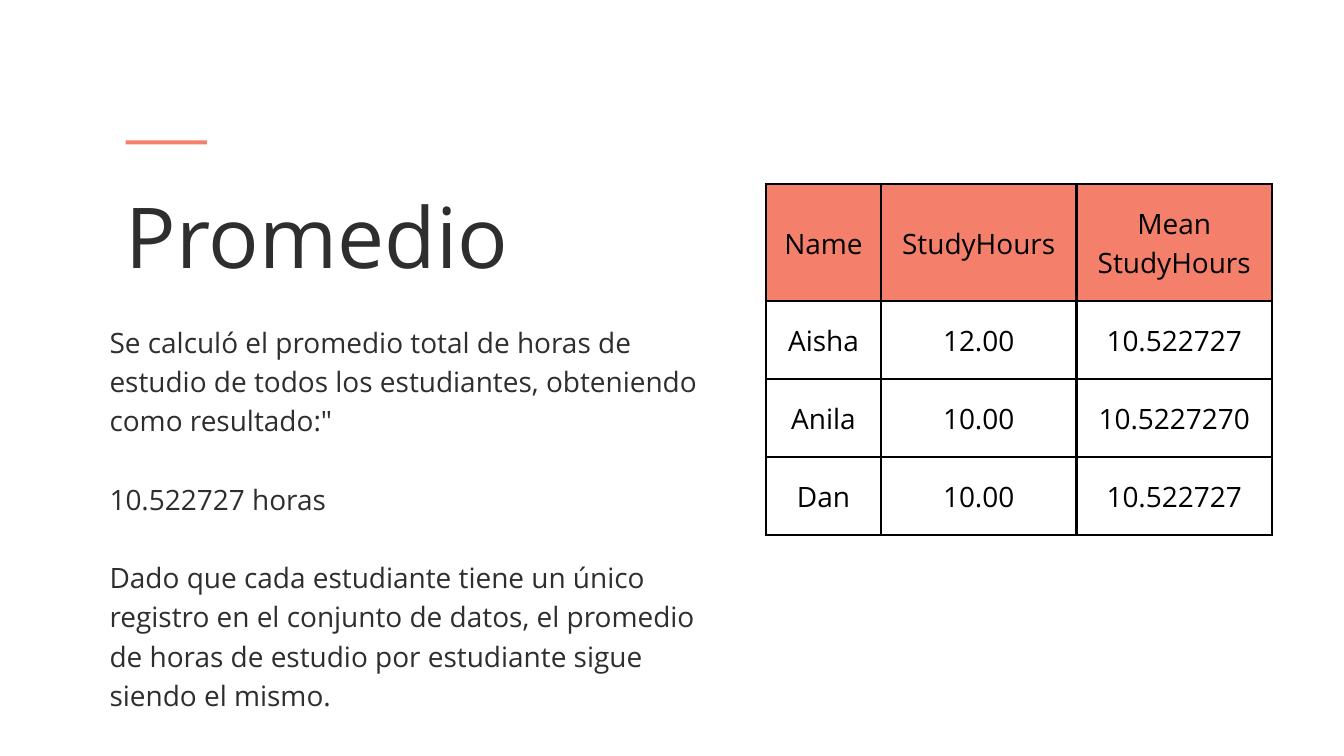
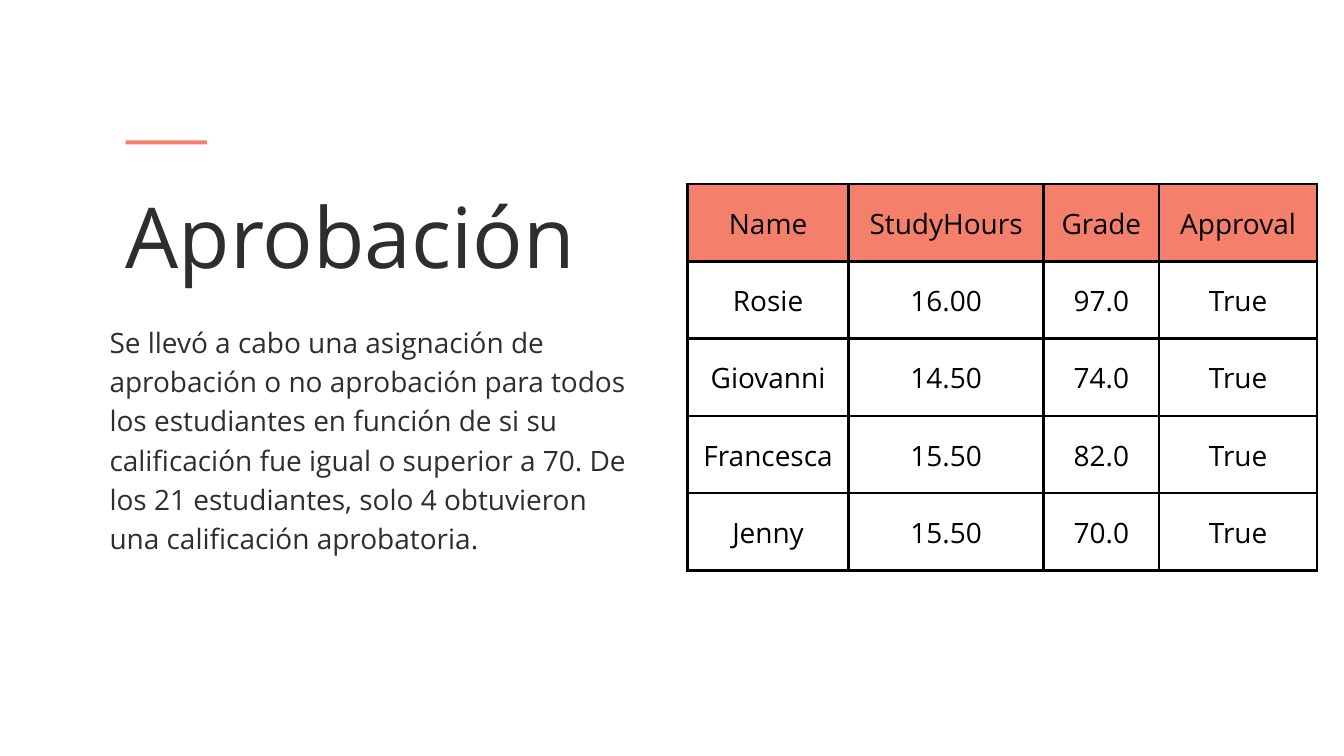
from dataclasses import dataclass

from lxml.etree import SubElement
from pptx import Presentation
from pptx.dml.color import RGBColor
from pptx.enum.shapes import MSO_SHAPE
from pptx.enum.text import MSO_ANCHOR, MSO_AUTO_SIZE, PP_ALIGN
from pptx.oxml.ns import qn
from pptx.util import Inches, Pt


@dataclass(frozen=True)
class Theme:
    font: str = "Open Sans"
    accent: str = "F4806B"
    ink: str = "2E2E2E"
    black: str = "000000"
    white: str = "FFFFFF"
    title_size: int = 90
    title_leading: int = 108
    body_size: int = 30
    body_leading: int = 42
    border_width: int = 3
    cell_margin: float = 0.21


def rgb(color):
    return RGBColor.from_string(color)


def box(left, top, width, height):
    return [Inches(v) for v in (left, top, width, height)]


def write(tf, text, *, font, size, color, leading, align=PP_ALIGN.LEFT,
          gap=0, margin=0, anchor=MSO_ANCHOR.TOP):
    tf.word_wrap = True
    tf.auto_size = MSO_AUTO_SIZE.SHAPE_TO_FIT_TEXT
    tf.vertical_anchor = anchor
    tf.margin_left = tf.margin_right = Inches(margin)
    tf.margin_top = tf.margin_bottom = Inches(margin)
    fill_paragraphs(tf, text, font, size, color, leading, align, gap)


def fill_paragraphs(tf, text, font, size, color, leading, align, gap=0):
    for i, line in enumerate(text.split("\n")):
        p = tf.add_paragraph() if i else tf.paragraphs[0]
        p.alignment = align
        p.line_spacing = Pt(leading)
        p.space_before = Pt(gap if i else 0)
        r = p.add_run()
        r.text = line
        r.font.name = font
        r.font.size = Pt(size)
        r.font.color.rgb = rgb(color)


class Deck:
    def __init__(self, theme):
        self.theme = theme
        self.prs = Presentation()
        self.prs.slide_width = Inches(20)
        self.prs.slide_height = Inches(11.25)
        self.s = None

    def slide(self, title):
        t = self.theme
        self.s = self.prs.slides.add_slide(self.prs.slide_layouts[5])
        self.s.background.fill.solid()
        self.s.background.fill.fore_color.rgb = rgb(t.white)
        self.accent_bar()
        sp = self.s.shapes.title
        sp.left, sp.top, sp.width, sp.height = box(1.87, 2.74, 10.38, 1.5)
        write(sp.text_frame, title, font=t.font, size=t.title_size,
              color=t.ink, leading=t.title_leading)

    def accent_bar(self):
        sp = self.s.shapes.add_shape(MSO_SHAPE.RECTANGLE, *box(1.87, 2.09, 1.21, 0.06))
        sp.shadow.inherit = False
        sp.fill.solid()
        sp.fill.fore_color.rgb = rgb(self.theme.accent)
        sp.line.fill.background()

    def body(self, text, width, height):
        t = self.theme
        sp = self.s.shapes.add_textbox(*box(1.63, 4.76, width, height))
        write(sp.text_frame, text, font=t.font, size=t.body_size,
              color=t.ink, leading=t.body_leading, gap=t.body_leading)

    def table(self, rows, left, widths, heights):
        frame = self.s.shapes.add_table(
            len(rows), len(widths), *box(left, 2.74, sum(widths), sum(heights)))
        tbl = frame.table
        tbl.first_row = tbl.horz_banding = False
        for column, width in zip(tbl.columns, widths):
            column.width = Inches(width)
        for i, (row, height) in enumerate(zip(rows, heights)):
            tbl.rows[i].height = Inches(height)
            for j, text in enumerate(row):
                self.cell(tbl.cell(i, j), text, self.theme.white if i else self.theme.accent)

    def cell(self, cell, text, fill):
        t = self.theme
        self.borders(cell)
        cell.fill.solid()
        cell.fill.fore_color.rgb = rgb(fill)
        cell.vertical_anchor = MSO_ANCHOR.MIDDLE
        cell.margin_left = cell.margin_right = Inches(t.cell_margin)
        cell.margin_top = cell.margin_bottom = Inches(t.cell_margin)
        fill_paragraphs(cell.text_frame, text, t.font, t.body_size, t.black,
                        t.body_leading, PP_ALIGN.CENTER)

    def borders(self, cell):
        tc_pr = cell._tc.get_or_add_tcPr()
        for side in ("lnL", "lnR", "lnT", "lnB"):
            ln = SubElement(tc_pr, qn(f"a:{side}"), w=str(Pt(self.theme.border_width)))
            SubElement(SubElement(ln, qn("a:solidFill")), qn("a:srgbClr"),
                       val=self.theme.black)


def main():
    deck = Deck(Theme())

    deck.slide("Promedio")
    deck.table(
        [("Name", "StudyHours", "Mean\nStudyHours"),
         ("Aisha", "12.00", "10.522727"),
         ("Anila", "10.00", "10.5227270"),
         ("Dan", "10.00", "10.522727")],
        left=11.4, widths=[1.71, 2.91, 2.91], heights=[1.74] + [1.16] * 3)
    deck.body(
        "Se calculó el promedio total de horas de estudio de todos los estudiantes, "
        "obteniendo como resultado:\"\n"
        "10.522727 horas\n"
        "Dado que cada estudiante tiene un único registro en el conjunto de datos, "
        "el promedio de horas de estudio por estudiante sigue siendo el mismo.",
        width=9.25, height=5.81)

    deck.slide("Aprobación")
    deck.table(
        [("Name", "StudyHours", "Grade", "Approval"),
         ("Rosie", "16.00", "97.0", "True"),
         ("Giovanni", "14.50", "74.0", "True"),
         ("Francesca", "15.50", "82.0", "True"),
         ("Jenny", "15.50", "70.0", "True")],
        left=10.23, widths=[2.4, 2.9, 1.72, 2.35], heights=[1.15] * 5)
    deck.body(
        "Se llevó a cabo una asignación de aprobación o no aprobación para todos los "
        "estudiantes en función de si su calificación fue igual o superior a 70. "
        "De los 21 estudiantes, solo 4 obtuvieron una calificación aprobatoria.",
        width=7.72, height=3.48)

    deck.prs.save("out.pptx")


if __name__ == "__main__":
    main()
